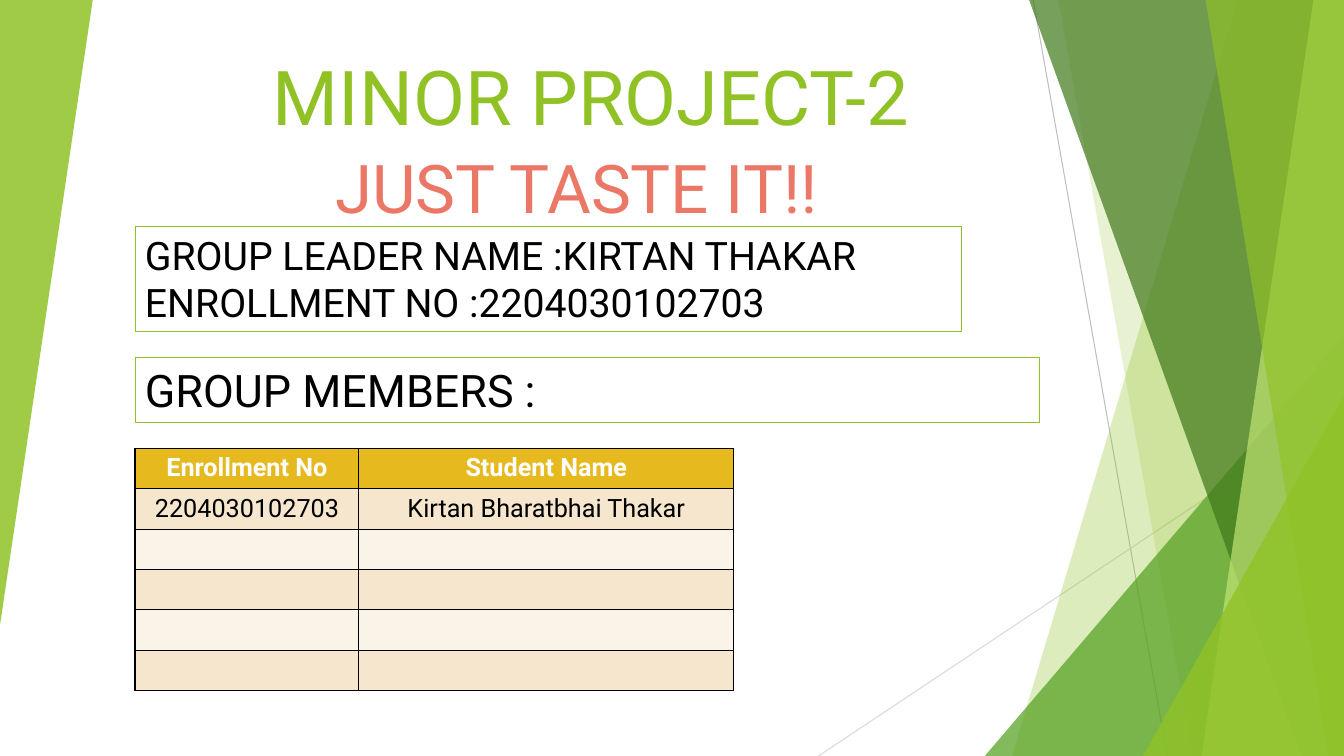
from lxml.etree import SubElement
from pptx import Presentation
from pptx.dml.color import RGBColor as RGB
from pptx.enum.shapes import MSO_CONNECTOR, MSO_SHAPE
from pptx.enum.text import MSO_ANCHOR as Anchor, MSO_AUTO_SIZE as AutoSize, PP_ALIGN as Align
from pptx.oxml import parse_xml
from pptx.oxml.ns import nsdecls, qn
from pptx.util import Inches, Pt

THEME = dict(
    font="Roboto", ink="000000", white="FFFFFF", green="90C226", coral="EB7766",
    forest="54A021", pine="3F7819", lime="C0E474", header="E6B91E",
    bands=("F5E6CD", "FAF3E8"), rays=("BFBFBF", "D9D9D9"),
    title=54, subtitle=48, heading=32, leader=28, table=18, hairline=0.75,
)

# Grid of tenth-inch columns and rows
COL = ROW = Inches(0.1)
RIGHT, BOTTOM = 133.33, 75
MARGIN = 13.4

deck = Presentation()
deck.slide_width, deck.slide_height = int(RIGHT * COL), BOTTOM * ROW
slide = deck.slides.add_slide(deck.slide_layouts[0])
shapes = slide.shapes


def write(frame, text, size, color=THEME["ink"], align=Align.LEFT, anchor=Anchor.TOP,
          bold=False, before=0):
    frame.text = text
    frame.word_wrap = True
    frame.vertical_anchor = anchor
    for line in frame.paragraphs:
        line.alignment = align
        line.space_before = Pt(before)
        font = line.font
        font.name, font.size, font.bold = THEME["font"], Pt(size), bold
        font.color.rgb = RGB.from_string(color)


def glaze(panel, color, opacity):
    panel.shadow.inherit = False
    panel.line.fill.background()
    panel.fill.solid()
    panel.fill.fore_color.rgb = RGB.from_string(color)
    tint = panel.fill._xPr.find(qn("a:solidFill"))[0]
    SubElement(tint, qn("a:alpha"), val=str(opacity * 1000))


# Thin rays behind the right-hand panels
rays = [(102.5, 0, 115.8, BOTTOM), (RIGHT, 40.3, 81.2, BOTTOM)]
for (x1, y1, x2, y2), color in zip(rays, THEME["rays"]):
    ray = shapes.add_connector(MSO_CONNECTOR.STRAIGHT, int(x1 * COL), int(y1 * ROW),
                               int(x2 * COL), int(y2 * ROW))
    ray.line.color.rgb = RGB.from_string(color)
    ray.line.width = Pt(THEME["hairline"])
    SubElement(ray._element.spPr, qn("a:effectLst"))

# Translucent panels: slanted ones (top x, bottom x) run to the right edge,
# corner triangles (left, top, width, height, rotation) fill a corner
panels = [
    ((122.8, 100.4), "green", 30),
    ((105, 118.3), "green", 20),
    ((97.7, 33.3, 35.63, 41.7, 0), "forest", 72),
    ((102.1, 129.1), "pine", 70),
    ((130.3, 119.2), "lime", 70),
    ((119.6, 131.8), "green", 65),
    ((113.4, 39.3, 19.93, 35.7, 0), "green", 80),
    ((0, 0, 9.2, 62, 180), "green", 85),
]
for outline, color, opacity in panels:
    if len(outline) == 2:
        top, bottom = outline
        builder = shapes.build_freeform(int(top * COL), 0)
        corners = [(RIGHT, 0), (RIGHT, BOTTOM), (bottom, BOTTOM)]
        builder.add_line_segments([(int(x * COL), y * ROW) for x, y in corners], close=True)
        panel = builder.convert_to_shape()
    else:
        *box, rotation = outline
        panel = shapes.add_shape(MSO_SHAPE.ISOSCELES_TRIANGLE, *[int(n * COL) for n in box])
        panel.adjustments[0] = 1
        panel.rotation = rotation
    glaze(panel, THEME[color], opacity)

# Title and subtitle, in front of the panels
headline, tagline = slide.placeholders
for holder, box in ((headline, (16.2, 2.5, 84.9, 12)), (tagline, (25.7, 14, 63, 10))):
    holder.left, holder.top, holder.width, holder.height = [int(n * COL) for n in box]
    holder.text_frame.auto_size = AutoSize.NONE
    shapes.element.append(holder.element)
write(headline.text_frame, "MINOR PROJECT-2", THEME["title"], THEME["green"],
      Align.CENTER, Anchor.BOTTOM)
write(tagline.text_frame, "JUST TASTE IT!!", THEME["subtitle"], THEME["coral"],
      Align.CENTER, before=10)

# Framed group details
details = [
    ("GROUP MEMBERS :", "heading", 35.5, 89.7, 6.4),
    ("GROUP LEADER NAME :KIRTAN THAKAR\nENROLLMENT NO :2204030102703", "leader", 22.5, 82, 10.4),
]
for text, role, top, width, height in details:
    detail = shapes.add_shape(MSO_SHAPE.RECTANGLE, int(MARGIN * COL), int(top * ROW),
                              int(width * COL), int(height * ROW))
    detail.shadow.inherit = False
    detail.fill.background()
    detail.line.color.rgb = RGB.from_string(THEME["green"])
    detail.line.width = Pt(THEME["hairline"])
    write(detail.text_frame, text, THEME[role])

# Member table, with room for further students
members = [("Enrollment No", "Student Name"), ("2204030102703", "Kirtan Bharatbhai Thakar")]
members += [("", "")] * 4
widths = (22.2, 37.2)
roster = shapes.add_table(len(members), len(widths), int(MARGIN * COL), int(44.5 * ROW),
                          int(sum(widths) * COL), 24 * ROW).table
for column, width in zip(roster.columns, widths):
    column.width = int(width * COL)
for r, member in enumerate(members):
    is_header = r == 0
    band = THEME["header"] if is_header else THEME["bands"][(r - 1) % 2]
    for c, text in enumerate(member):
        cell = roster.cell(r, c)
        cell.fill.solid()
        cell.fill.fore_color.rgb = RGB.from_string(band)
        write(cell.text_frame, text, THEME["table"],
              THEME["white"] if is_header else THEME["ink"], Align.CENTER, bold=is_header)
        for i, side in enumerate("LRTB"):
            border = parse_xml(
                f'<a:ln{side} {nsdecls("a")} w="{Pt(1)}"><a:solidFill>'
                f'<a:srgbClr val="{THEME["ink"]}"/></a:solidFill></a:ln{side}>')
            cell._tc.get_or_add_tcPr().insert(i, border)

deck.save("out.pptx")
